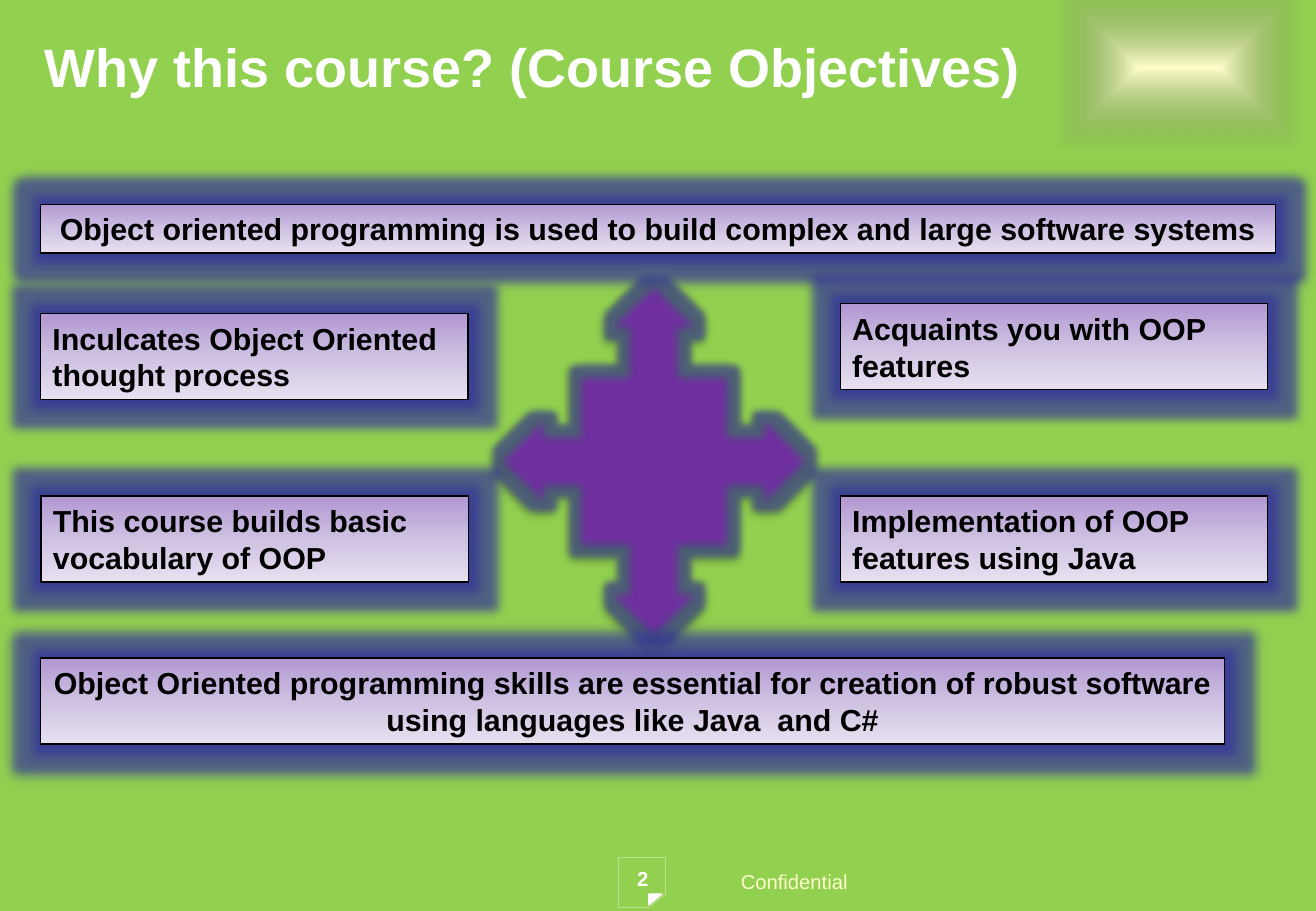
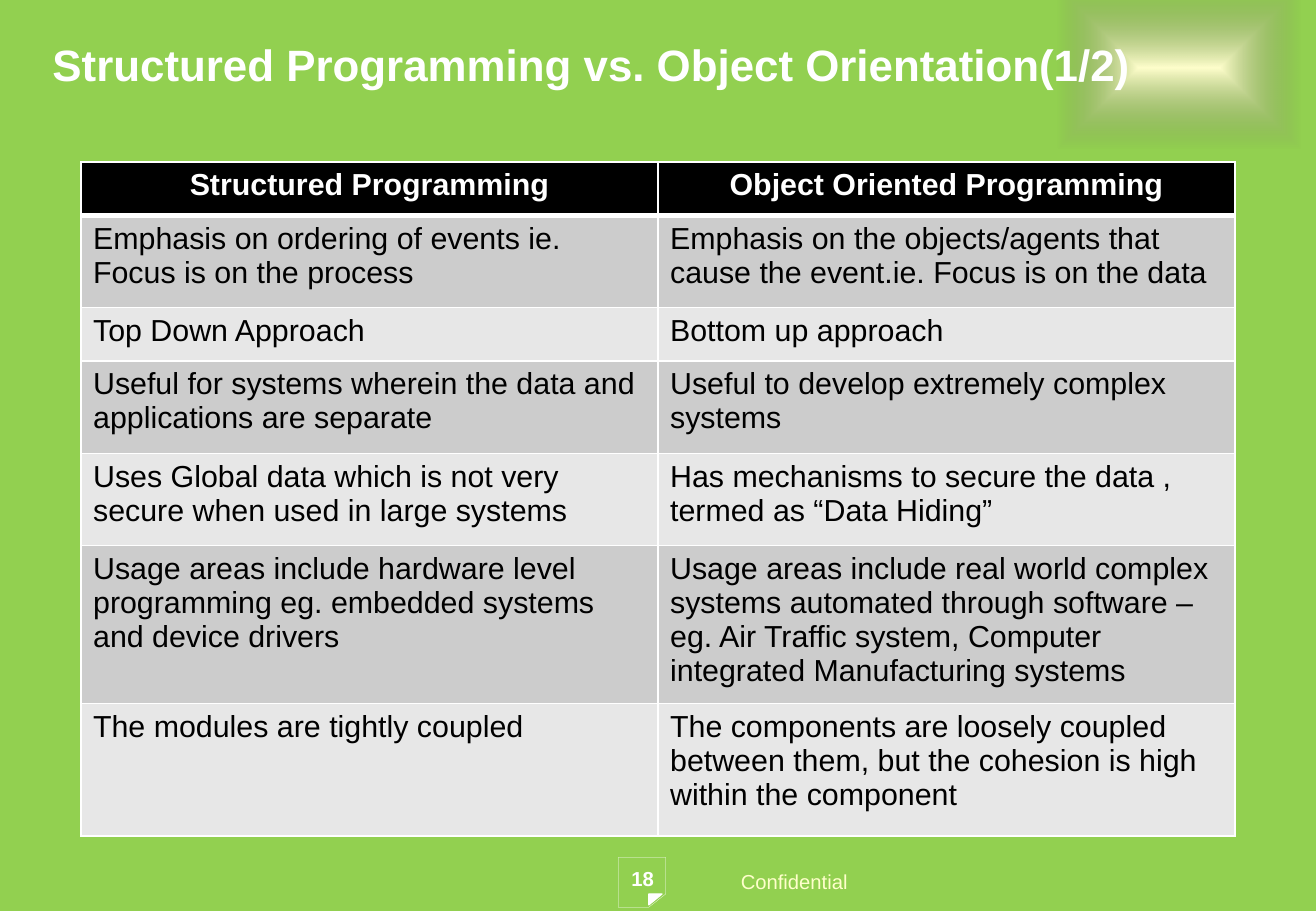
from pptx import Presentation
from pptx.dml.color import RGBColor
from pptx.enum.shapes import MSO_SHAPE
from pptx.enum.text import MSO_ANCHOR, PP_ALIGN
from pptx.oxml import parse_xml
from pptx.oxml.ns import nsdecls
from pptx.util import Pt

RECT, CALLOUT = MSO_SHAPE.RECTANGLE, MSO_SHAPE.QUAD_ARROW_CALLOUT
LEFT, CENTER = PP_ALIGN.LEFT, PP_ALIGN.CENTER
TOP, MIDDLE = MSO_ANCHOR.TOP, MSO_ANCHOR.MIDDLE

FONT = "Arial"
GREEN, WHITE, BLACK, CREAM = "92D050", "FFFFFF", "000000", "FFFFCC"
PURPLE, GLOW = "7030A0", "333399"
BANDS = ("CCCCCC", "E7E7E7")
LILAC_STOPS = [(0, "B197D2", 100), (50, "CEC1E2", 100), (100, "E7E1F0", 100)]
CREAM_STOPS = [(0, CREAM, 100), (100, "76765E", 0)]
DOWNWARD = '<a:lin ang="5400000" scaled="0"/>'
FROM_CENTER = ('<a:path path="shape"><a:fillToRect l="50000" t="50000" '
               'r="50000" b="50000"/></a:path>')

PAGE_OUTLINE = [(394.6, 529.9), (394.6, 508.3), (366.5, 508.3),
                (366.5, 537.8), (384.5, 537.8)]
PAGE_FLAP = [(384.5, 536.4), (384.5, 529.9), (392.4, 529.9)]
PAGE_PARTS = [(PAGE_OUTLINE, None, 0.13), (PAGE_FLAP, WHITE, 0.75)]

OBJECTIVES_TITLE = "Why this course? (Course Objectives)"
OBJECTIVES = [
    ("Object oriented programming is used to build complex and large software systems",
     (24, 121, 732, 29), CENTER),
    ("Object Oriented programming skills are essential for creation of robust "
     "software using languages like Java  and C#", (24, 390, 702, 51), CENTER),
    ("This course builds basic vocabulary of OOP", (24.3, 294, 253.4, 51), LEFT),
    ("Inculcates Object Oriented thought process", (24, 185.7, 253.4, 51), LEFT),
    ("Acquaints you with OOP features", (498, 180, 253.4, 51), LEFT),
    ("Implementation of OOP features using Java", (498, 294, 253.4, 51), LEFT),
]

COMPARISON_TITLE = "Structured Programming vs. Object Orientation(1/2)"
COMPARISON = [
    ("Structured Programming", "Object Oriented Programming"),
    ("Emphasis on ordering of events ie. Focus is on the process",
     "Emphasis on the objects/agents that cause the event.ie. Focus is on the data"),
    ("Top Down Approach", "Bottom up approach"),
    ("Useful for systems wherein the data and applications are separate",
     "Useful to develop extremely complex systems"),
    ("Uses Global data which is not very secure when used in large systems",
     "Has mechanisms to secure the data , termed as “Data Hiding”"),
    ("Usage areas include hardware level programming eg. embedded systems "
     "and device drivers",
     "Usage areas include real world complex systems automated through software – "
     "eg. Air Traffic system, Computer integrated Manufacturing systems"),
    ("The modules are tightly coupled",
     "The components are loosely coupled between them, but the cohesion is high "
     "within the component"),
]
ROW_HEIGHTS = [31.7, 54.7, 31.7, 54.7, 54.7, 93.6, 78.5]
COLUMN_WIDTH = 342


def color(value):
    return RGBColor.from_string(value)


def points(lengths):
    return [Pt(length) for length in lengths]


def xml(markup):
    root, rest = markup.split(">", 1)
    closed = root.endswith("/")
    root = root.rstrip("/") + " " + nsdecls("a") + ("/" if closed else "")
    return parse_xml(root + ">" + rest)


def tint(value, alpha):
    return f'<a:srgbClr val="{value}"><a:alpha val="{alpha * 1000}"/></a:srgbClr>'


def shadow(value, alpha, blur, distance, angle):
    return (f'<a:outerShdw blurRad="{Pt(blur)}" dist="{Pt(distance)}" '
            f'dir="{angle * 60000}" algn="ctr" rotWithShape="0">'
            f'{tint(value, alpha)}</a:outerShdw>')


def glow(radius):
    return f'<a:glow rad="{Pt(radius)}">{tint(GLOW, 60)}</a:glow>'


def write(frame, text, size, value, bold=False, align=LEFT, anchor=TOP, shadowed=False):
    frame.vertical_anchor = anchor
    line = frame.paragraphs[0]
    line.text = text
    line.alignment = align
    line.font.name, line.font.size, line.font.bold = FONT, Pt(size), bold
    line.font.color.rgb = color(value)
    if shadowed:
        props = line.runs[0]._r.get_or_add_rPr()
        props.append(xml(f"<a:effectLst>{shadow(BLACK, 100, 0, 2.8, 45)}</a:effectLst>"))


def add_text(slide, box, text, size, value, wrap=True, **style):
    frame = slide.shapes.add_textbox(*points(box)).text_frame
    frame.word_wrap = wrap
    write(frame, text, size, value, **style)


def paint(shape, fill=None, line=None, width=0.75, effects=()):
    if fill:
        shape.fill.solid()
        shape.fill.fore_color.rgb = color(fill)
    if line:
        shape.line.color.rgb = color(line)
        shape.line.width = Pt(width)
    else:
        shape.line.fill.background()
    shape.shadow.inherit = False
    for effect in effects:
        shape._element.spPr.find(
            "{http://schemas.openxmlformats.org/drawingml/2006/main}effectLst"
        ).append(xml(effect))


def add_gradient_box(slide, box, stops, direction, **style):
    shape = slide.shapes.add_shape(RECT, *points(box))
    marks = "".join(f'<a:gs pos="{at * 1000}">{tint(value, alpha)}</a:gs>'
                    for at, value, alpha in stops)
    shape._element.spPr.insert(2, xml(
        f'<a:gradFill rotWithShape="1"><a:gsLst>{marks}</a:gsLst>{direction}</a:gradFill>'))
    paint(shape, **style)
    return shape


def add_page(deck, number, title, title_box, title_size):
    slide = deck.slides.add_slide(deck.slide_layouts[6])
    slide.background.fill.solid()
    slide.background.fill.fore_color.rgb = color(GREEN)
    add_gradient_box(slide, (627, -8, 144, 96), CREAM_STOPS, FROM_CENTER)
    for corners, fill, width in PAGE_PARTS:
        start, *others = [points(corner) for corner in corners]
        outline = slide.shapes.build_freeform(*start, scale=1.0)
        outline.add_line_segments(others, close=True)
        part = outline.convert_to_shape()
        if not fill:
            part.fill.background()
        paint(part, fill, WHITE, width)
    add_text(slide, (432, 512, 78.5, 21.6), "Confidential", 12, CREAM,
             wrap=False, shadowed=True)
    add_text(slide, (347.8, 510, 66.2, 37), number, 12, WHITE, bold=True, align=CENTER)
    add_text(slide, title_box, title, title_size, WHITE, bold=True,
             anchor=MIDDLE, shadowed=True)
    return slide


def add_objectives(slide):
    arrows = slide.shapes.add_shape(CALLOUT, *points((290, 162, 195, 222)))
    paint(arrows, PURPLE, BLACK, effects=(
        glow(8), shadow(BLACK, 35, 3.1, 1.8, 90), f'<a:softEdge rad="{Pt(5)}"/>'))
    for text, box, align in OBJECTIVES:
        panel = add_gradient_box(slide, box, LILAC_STOPS, DOWNWARD, line=BLACK,
                                 effects=(glow(11), shadow(GLOW, 60, 5, 0, 0)))
        panel.text_frame.word_wrap = True
        write(panel.text_frame, text, 18, BLACK, bold=True, align=align, anchor=MIDDLE)


def add_borders(cell, top, bottom):
    props = cell._tc.get_or_add_tcPr()
    for place, (side, width) in enumerate(
            [("L", 1), ("R", 1), ("T", top), ("B", bottom)]):
        props.insert(place, xml(
            f'<a:ln{side} w="{Pt(width)}"><a:solidFill>{tint(WHITE, 100)}'
            f'</a:solidFill></a:ln{side}>'))


def add_comparison(slide):
    columns = len(COMPARISON[0])
    table = slide.shapes.add_table(
        len(COMPARISON), columns,
        *points((48, 96, COLUMN_WIDTH * columns, sum(ROW_HEIGHTS)))).table
    for column in table.columns:
        column.width = Pt(COLUMN_WIDTH)
    for index, (texts, height) in enumerate(zip(COMPARISON, ROW_HEIGHTS)):
        header = index == 0
        table.rows[index].height = Pt(height)
        for cell, text in zip(table.rows[index].cells, texts):
            cell.fill.solid()
            cell.fill.fore_color.rgb = color(BLACK if header else BANDS[(index - 1) % 2])
            add_borders(cell, 3 if index == 1 else 1, 3 if header else 1)
            write(cell.text_frame, text, 18, WHITE if header else BLACK,
                  bold=header, align=CENTER if header else LEFT)


def main():
    deck = Presentation()
    deck.slide_width, deck.slide_height = Pt(780), Pt(540)
    add_objectives(add_page(deck, "2", OBJECTIVES_TITLE, (19.4, 18.7, 731.5, 40.3), 32))
    add_comparison(add_page(deck, "18", COMPARISON_TITLE, (24, 0, 696, 76.3), 26))
    deck.save("out.pptx")


if __name__ == "__main__":
    main()
